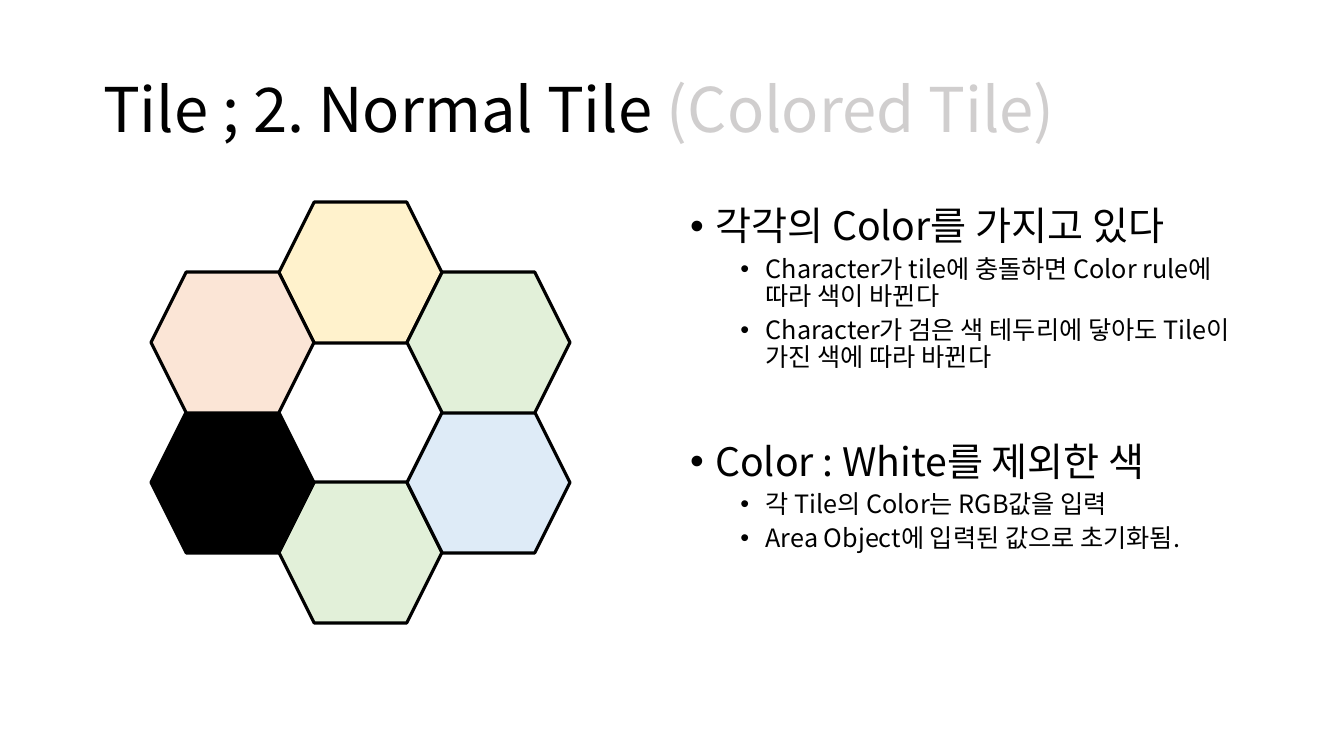
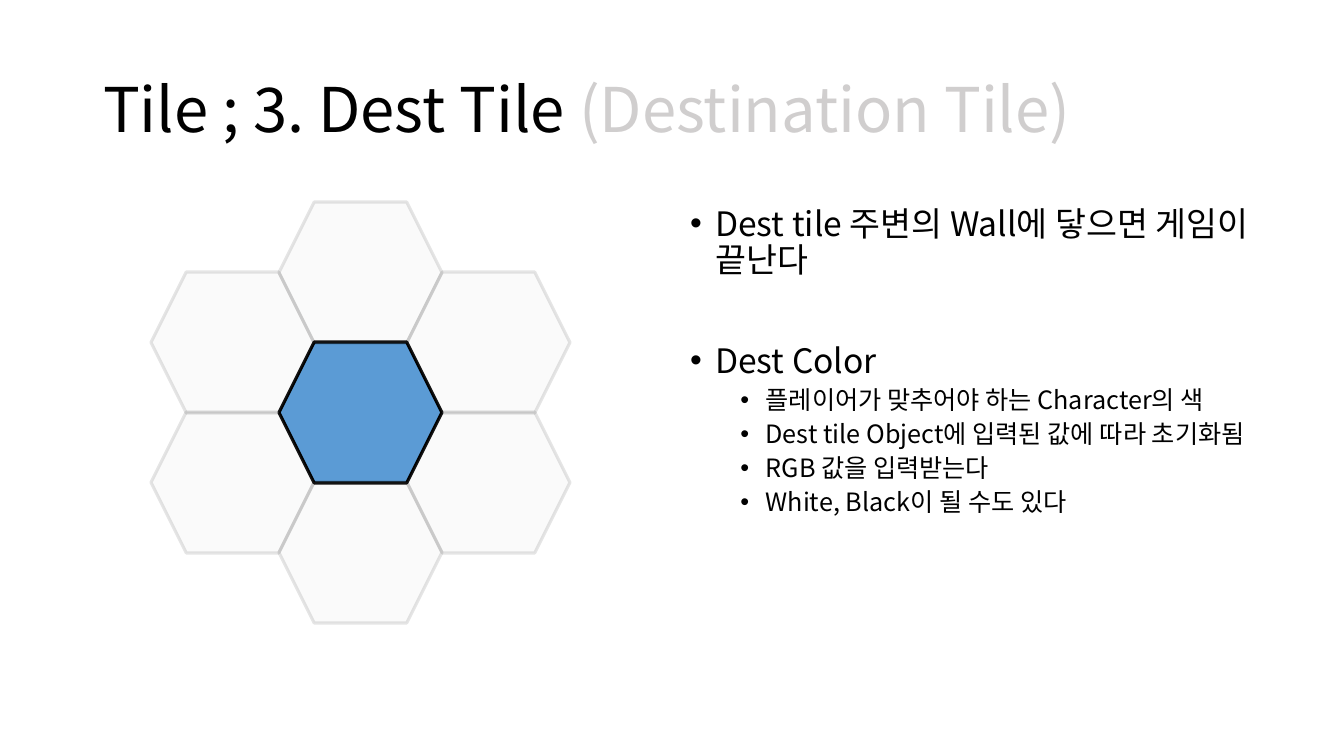
"""Build two slides that explain the coloured and destination tiles of a hexagon game."""
from lxml import etree
from pptx import Presentation
from pptx.dml.color import RGBColor
from pptx.enum.shapes import MSO_SHAPE
from pptx.enum.text import MSO_ANCHOR, MSO_AUTO_SIZE, PP_ALIGN
from pptx.oxml.ns import qn
from pptx.util import Emu, Pt

HEXAGON = MSO_SHAPE.HEXAGON
LEFT = PP_ALIGN.LEFT
TOP, MIDDLE = MSO_ANCHOR.TOP, MSO_ANCHOR.MIDDLE
NO_FIT = MSO_AUTO_SIZE.NONE

SCALE = 914400 / 100.8
FONT = "Noto Sans CJK KR"
COLORS = {
    "black": "000000", "white": "FFFFFF", "gray": "D0CECE",
    "yellow": "FFF2CC", "green": "E2F0D9", "pale_blue": "DEEBF7",
    "peach": "FBE5D6", "blue": "5B9BD5",
}
TILE_W, TILE_H = 163, 141
GRID_X, GRID_Y, STEP_X, STEP_Y = 151, 202, 128, 70
CELLS = {
    "center": (1, 2), "top": (1, 0), "bottom": (1, 4),
    "lower_left": (0, 3), "lower_right": (2, 3),
    "upper_left": (0, 1), "upper_right": (2, 1),
}


def px(n):
    return Emu(round(n * SCALE))


def rgb(name):
    return RGBColor.from_string(COLORS[name])


class Deck:
    """Hold the shared style and the current slide."""

    def __init__(self):
        self.prs = Presentation()
        self.prs.slide_width, self.prs.slide_height = px(1344), px(756)
        self.slide = None

    def add_slide(self):
        self.slide = self.prs.slides.add_slide(self.prs.slide_layouts[1])

    def place(self, sp, box, anchor):
        sp.left, sp.top, sp.width, sp.height = map(px, box)
        tf = sp.text_frame
        tf.word_wrap, tf.auto_size, tf.vertical_anchor = True, NO_FIT, anchor
        return tf

    def format_run(self, r, size, color="black"):
        r.font.size, r.font.name = Pt(size), FONT
        r.font.color.rgb = rgb(color)
        rPr = r.font._element
        etree.SubElement(rPr, qn("a:ea")).set("typeface", FONT)

    def format_paragraph(self, p, before):
        p.alignment, p.line_spacing, p.space_before = LEFT, 0.9, Pt(before)

    def title(self, name, note):
        tf = self.place(self.slide.shapes.title, (93, 40, 1159, 146), MIDDLE)
        p = tf.paragraphs[0]
        self.format_paragraph(p, 0)
        for text, color in ((name, "black"), (note, "gray")):
            r = p.add_run()
            r.text = text
            self.format_run(r, 44, color)

    def bullets(self, items, width, size, gap):
        tf = self.place(self.slide.placeholders[1], (680, 202, width, 480), TOP)
        tf.text = "\n".join(text for _, text in items)
        for i, (p, (level, _)) in enumerate(zip(tf.paragraphs, items)):
            p.level = level
            self.format_paragraph(p, 5 if level else gap if i else 10)
            self.format_run(p.runs[0], 18 if level else size)
            pPr = p._p.get_or_add_pPr()
            pPr.set("marL", str(px(25.2 + 50.4 * level)))
            pPr.set("indent", str(px(-25.2)))
            etree.SubElement(pPr, qn("a:buFont")).set("typeface", "Arial")
            etree.SubElement(pPr, qn("a:buChar")).set("char", "•")

    def tiles(self, fills, faded):
        group = self.slide.shapes.add_group_shape()
        for cell, (col, row) in CELLS.items():
            box = (GRID_X + STEP_X * col, GRID_Y + STEP_Y * row, TILE_W, TILE_H)
            sp = group.shapes.add_shape(HEXAGON, *map(px, box))
            sp.shadow.inherit = False
            sp.fill.solid()
            sp.fill.fore_color.rgb = rgb(fills[cell])
            sp.line.color.rgb = rgb("black")
            sp.line.width = Pt(2.25)
            if cell in faded:
                for clr in sp._element.spPr.iter(qn("a:srgbClr")):
                    etree.SubElement(clr, qn("a:alpha")).set("val", "10000")


deck = Deck()

deck.add_slide()
deck.title("Tile ; 2. Normal Tile ", "(Colored Tile)")
deck.bullets([
    (0, "각각의 Color를 가지고 있다"),
    (1, "Character가 tile에 충돌하면 Color rule에 따라 색이 바뀐다"),
    (1, "Character가 검은 색 테두리에 닿아도 Tile이 가진 색에 따라 바뀐다"),
    (0, "Color : White를 제외한 색"),
    (1, "각 Tile의 Color는 RGB값을 입력"),
    (1, "Area Object에 입력된 값으로 초기화됨."),
], width=572, size=28, gap=50)
deck.tiles({
    "center": "white", "top": "yellow", "bottom": "green",
    "lower_left": "black", "lower_right": "pale_blue",
    "upper_left": "peach", "upper_right": "green",
}, faded={"center"})

deck.add_slide()
deck.title("Tile ; 3. Dest Tile ", "(Destination Tile)")
deck.bullets([
    (0, "Dest tile 주변의 Wall에 닿으면 게임이 끝난다"),
    (0, "Dest Color"),
    (1, "플레이어가 맞추어야 하는 Character의 색"),
    (1, "Dest tile Object에 입력된 값에 따라 초기화됨"),
    (1, "RGB 값을 입력받는다"),
    (1, "White, Black이 될 수도 있다"),
], width=626, size=24, gap=46)
deck.tiles(dict.fromkeys(CELLS, "gray") | {"center": "blue"},
           faded=CELLS.keys() - {"center"})

deck.prs.save("out.pptx")
